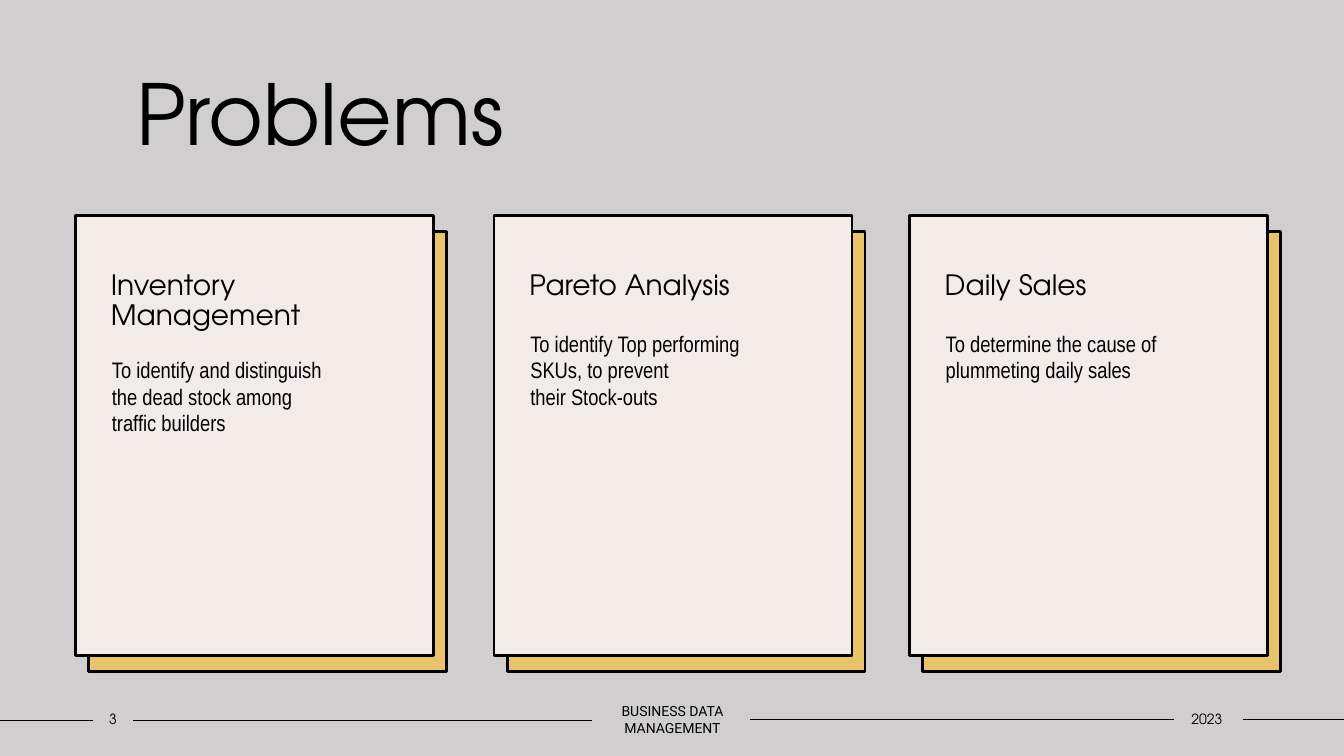
from dataclasses import dataclass

from lxml import etree
from pptx import Presentation
from pptx.dml.color import RGBColor
from pptx.enum import shapes, text
from pptx.oxml import ns
from pptx.util import Inches, Pt

BLACK, GREY, CREAM, GOLD = "000000", "D0CECE", "F3EBE8", "E9C369"
DISPLAY, NARROW, ROBOTO = "TeX Gyre Adventor", "Arial Narrow", "Roboto"
CARD_TOP, CARD_WIDTH, CARD_HEIGHT = 2.14, 3.55, 4.36
SHADOW_X, SHADOW_Y = 0.13, 0.16


@dataclass
class Card:
    left: float
    heading: str
    lines: list[str]
    body_top: float
    placeholder: int


@dataclass
class Rule:
    start: float
    end: float
    y: float


@dataclass
class Footer:
    left: float
    width: float
    label: str
    font: str


CARDS = [
    Card(0.75, "Inventory Management",
         ["To identify and distinguish", "the dead stock among", "traffic builders"], 3.48, 1),
    Card(4.9, "Pareto Analysis",
         ["To identify Top performing", "SKUs, to prevent", "their Stock-outs"], 3.22, 2),
    Card(9.02, "Daily Sales",
         ["To determine the cause of", "plummeting daily sales"], 3.22, 3),
]
RULES = [Rule(0, 0.92, 7.15), Rule(1.32, 5.87, 7.15),
         Rule(7.44, 11.64, 7.14), Rule(12.33, 13.33, 7.14)]
FOOTERS = [Footer(0.92, 0.4, "3", DISPLAY),
           Footer(5.87, 1.6, "BUSINESS DATA MANAGEMENT", ROBOTO),
           Footer(11.62, 0.7, "2023", DISPLAY)]


def color(value: str) -> RGBColor:
    return RGBColor.from_string(value)


def write(box, lines: list[str], *, font: str, size: float,
          align=text.PP_ALIGN.LEFT, anchor=text.MSO_ANCHOR.TOP,
          insets=(0.1, 0.05, 0.1, 0.05), spacing: float = 1.0) -> None:
    """Fill a box with one unbulleted paragraph per line."""
    frame = box.text_frame
    frame.word_wrap = True
    frame.auto_size = text.MSO_AUTO_SIZE.NONE
    frame.vertical_anchor = anchor
    (frame.margin_left, frame.margin_top,
     frame.margin_right, frame.margin_bottom) = map(Inches, insets)
    frame.text = "\n".join(lines)
    for para in frame.paragraphs:
        properties = para._p.get_or_add_pPr()
        properties.set("marL", "0")
        properties.set("indent", "0")
        etree.SubElement(properties, ns.qn("a:buNone"))
        para.alignment = align
        para.line_spacing = spacing
        para.space_before = Pt(0)
        for span in para.runs:
            span.font.name = font
            span.font.size = Pt(size)
            span.font.bold = False
            span.font.color.rgb = color(BLACK)


def place(box, left: float, top: float, width: float, height: float) -> None:
    """Position a placeholder and bring it to the front."""
    box.left, box.top = Inches(left), Inches(top)
    box.width, box.height = Inches(width), Inches(height)
    box.element.getparent().append(box.element)


def add_panel(page, left: float, top: float, fill: str):
    panel = page.shapes.add_shape(shapes.MSO_SHAPE.RECTANGLE, Inches(left), Inches(top),
                                  Inches(CARD_WIDTH), Inches(CARD_HEIGHT))
    panel.shadow.inherit = False
    panel.fill.solid()
    panel.fill.fore_color.rgb = color(fill)
    panel.line.color.rgb = color(BLACK)
    panel.line.width = Pt(2)
    return panel


def add_rule(page, rule: Rule) -> None:
    line = page.shapes.add_connector(shapes.MSO_CONNECTOR.STRAIGHT, Inches(rule.start),
                                     Inches(rule.y), Inches(rule.end), Inches(rule.y))
    line.line.color.rgb = color(BLACK)
    line.line.width = Pt(1)
    etree.SubElement(line.element.spPr, ns.qn("a:effectLst"))


def add_card(page, card: Card) -> None:
    add_panel(page, card.left + SHADOW_X, CARD_TOP + SHADOW_Y, GOLD)
    panel = add_panel(page, card.left, CARD_TOP, CREAM)
    write(panel, [card.heading], font=DISPLAY, size=20,
          insets=(0.35, 0.55, 0.1, 0.05), spacing=0.9)
    body = page.placeholders[card.placeholder]
    place(body, card.left + 0.26, card.body_top, 3, 6.27 - card.body_top)
    write(body, card.lines, font=NARROW, size=16)


def add_footer(page, footer: Footer) -> None:
    box = page.shapes.add_textbox(Inches(footer.left), Inches(7),
                                  Inches(footer.width), Inches(0.27))
    write(box, [footer.label], font=footer.font, size=10, align=text.PP_ALIGN.CENTER,
          anchor=text.MSO_ANCHOR.MIDDLE, insets=(0, 0.05, 0, 0.05))


def main() -> None:
    deck = Presentation()
    deck.slide_width, deck.slide_height = Inches(13.33), Inches(7.5)
    page = deck.slides.add_slide(deck.slide_layouts.get_by_name("Comparison"))
    page.background.fill.solid()
    page.background.fill.fore_color.rgb = color(GREY)

    spare = page.placeholders[4].element
    spare.getparent().remove(spare)

    for rule in RULES:
        add_rule(page, rule)
    title = page.shapes.title
    place(title, 1.25, 0.56, 10.84, 1.11)
    write(title, ["Problems"], font=DISPLAY, size=60, anchor=text.MSO_ANCHOR.MIDDLE)
    for card in CARDS:
        add_card(page, card)
    for footer in FOOTERS:
        add_footer(page, footer)
    deck.save("out.pptx")


if __name__ == "__main__":
    main()
